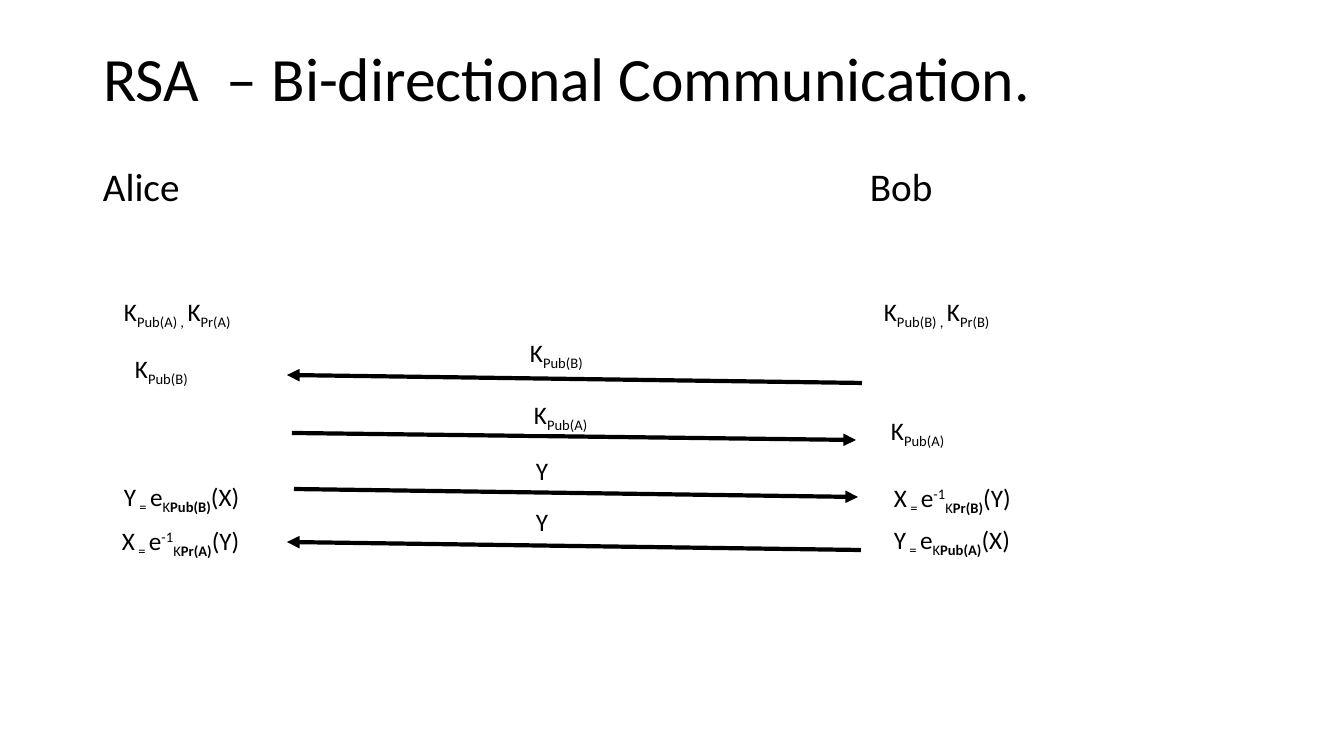
from lxml import etree
from pptx import Presentation
from pptx.dml.color import RGBColor
from pptx.enum.shapes import MSO_CONNECTOR, MSO_SHAPE
from pptx.enum.text import MSO_ANCHOR, MSO_AUTO_SIZE, PP_ALIGN
from pptx.oxml.ns import qn
from pptx.util import Emu, Pt

STRAIGHT = MSO_CONNECTOR.STRAIGHT
RECTANGLE = MSO_SHAPE.RECTANGLE
MIDDLE, TOP = MSO_ANCHOR.MIDDLE, MSO_ANCHOR.TOP
LEFT = PP_ALIGN.LEFT
GROW, FIXED = MSO_AUTO_SIZE.SHAPE_TO_FIT_TEXT, MSO_AUTO_SIZE.NONE
TITLE_ONLY = 5
EMU_PER_PX = 914400 / 100.8
SUB, SUPER = -25000, 30000
BOX_HEIGHT, LABEL_WIDTH, PAIR_WIDTH, FORMULA_WIDTH = 40, 84, 173, 161


def px(length):
    return Emu(round(length * EMU_PER_PX))


def color(hex_string):
    return RGBColor.from_string(hex_string)


class ProtocolSlide:
    font, ink, paper = "Calibri", "000000", "FFFFFF"

    def __init__(self, deck):
        self.page = deck.slides.add_slide(deck.slide_layouts[TITLE_ONLY])
        self.shapes = self.page.shapes

    def fill_text(self, box, spans, size, anchor=TOP, fit=FIXED):
        """Fill one paragraph; each span is (text, baseline, bold)."""
        frame = box.text_frame
        frame.word_wrap = True
        frame.auto_size = fit
        frame.vertical_anchor = anchor
        para = frame.paragraphs[0]
        para.alignment = LEFT
        for text, baseline, bold in spans:
            span = para.add_run()
            span.text = text
            span.font.name = self.font
            span.font.size = Pt(size)
            span.font.bold = bold
            span.font.color.rgb = color(self.ink)
            if baseline:
                span._r.get_or_add_rPr().set("baseline", str(baseline))
        return para

    def title(self, text, left, top, width, height):
        box = self.shapes.title
        box.left, box.top, box.width, box.height = map(px, (left, top, width, height))
        para = self.fill_text(box, [(text, 0, False)], 44, MIDDLE)
        para.line_spacing = 0.9

    def parties(self, names, left, top, width, height, tab):
        """Put the names on one line, the second at a tab stop."""
        box = self.shapes.add_textbox(*map(px, (left, top, width, height)))
        para = self.fill_text(box, [("\t".join(names), 0, False)], 28)
        para.line_spacing = 0.9
        para.space_before = Pt(10)
        stops = etree.SubElement(para._p.get_or_add_pPr(), qn("a:tabLst"))
        etree.SubElement(stops, qn("a:tab"), pos=str(px(tab)), algn="l")

    def text(self, spans, left, top, width):
        box = self.shapes.add_textbox(*map(px, (left, top, width, BOX_HEIGHT)))
        self.fill_text(box, spans, 18, fit=GROW)

    def label(self, spans, left, top, width):
        box = self.shapes.add_shape(RECTANGLE, *map(px, (left, top, width, BOX_HEIGHT)))
        box.shadow.inherit = False
        box.fill.solid()
        box.fill.fore_color.rgb = color(self.paper)
        box.line.fill.background()
        self.fill_text(box, spans, 18, fit=GROW)

    def arrow(self, *ends):
        connector = self.shapes.add_connector(STRAIGHT, *map(px, ends))
        connector.line.color.rgb = color(self.ink)
        connector.line.width = Pt(3)
        properties = connector._element.spPr
        outline = properties.find(qn("a:ln"))
        etree.SubElement(outline, qn("a:tailEnd"), type="triangle")
        etree.SubElement(properties, qn("a:effectLst"))


def public_key(owner):
    return [("K", 0, False), (f"Pub({owner})", SUB, False)]


def key_pair(owner):
    return [("K", 0, False), (f"Pub({owner}) , ", SUB, False),
            ("K", 0, False), (f"Pr({owner})", SUB, False)]


def encryption(owner):
    return [("Y", 0, False), (" = ", SUB, False), ("e", 0, False),
            ("K", SUB, False), (f"Pub({owner})", SUB, True), ("(X)", 0, False)]


def decryption(owner):
    return [("X", 0, False), (" = ", SUB, False), ("e", 0, False), ("-1", SUPER, False),
            ("K", SUB, False), (f"Pr({owner})", SUB, True), ("(Y)", 0, False)]


def main():
    deck = Presentation()
    deck.slide_width, deck.slide_height = px(1344), px(756)
    slide = ProtocolSlide(deck)
    slide.title("RSA  – Bi-directional Communication.", 93, 16, 1159, 131)
    slide.parties(("Alice", "Bob"), 93, 163, 1159, 469, tab=767)

    for owner, left in (("A", 114), ("B", 874)):
        slide.text(key_pair(owner), left, 291, PAIR_WIDTH)

    ciphertext = [("Y", 0, False)]
    messages = (
        ((862, 383, 287, 375), public_key("B"), 520, 332),
        ((292, 433, 856, 440), public_key("A"), 524, 394),
        ((294, 489, 858, 497), ciphertext, 526, 450),
        ((861, 550, 287, 542), ciphertext, 526, 501),
    )
    for ends, spans, left, top in messages:
        slide.arrow(*ends)
        slide.label(spans, left, top, LABEL_WIDTH)

    slide.label(public_key("B"), 125, 348, LABEL_WIDTH)
    slide.label(public_key("A"), 881, 410, LABEL_WIDTH)

    formulas = (
        (encryption("B"), 114, 476),
        (decryption("B"), 884, 477),
        (encryption("A"), 884, 519),
        (decryption("A"), 112, 520),
    )
    for spans, left, top in formulas:
        slide.label(spans, left, top, FORMULA_WIDTH)

    deck.save("out.pptx")


if __name__ == "__main__":
    main()
